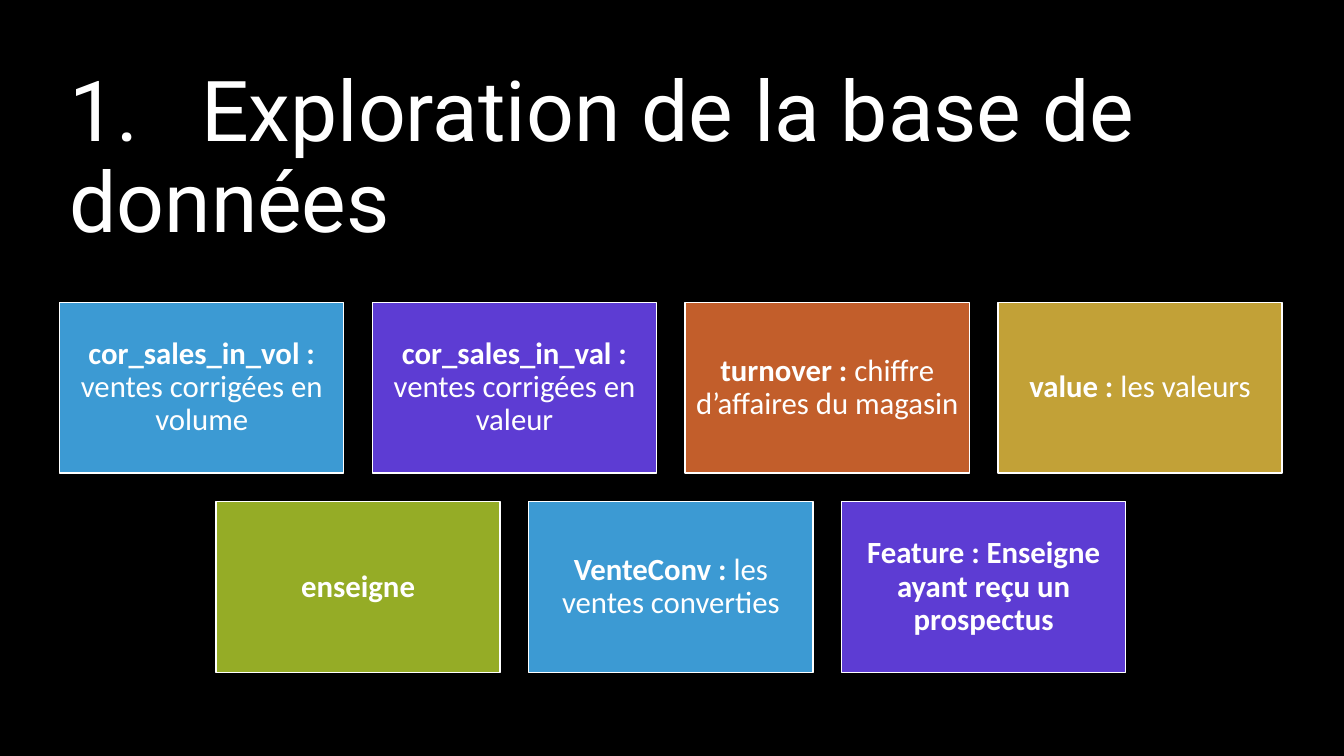
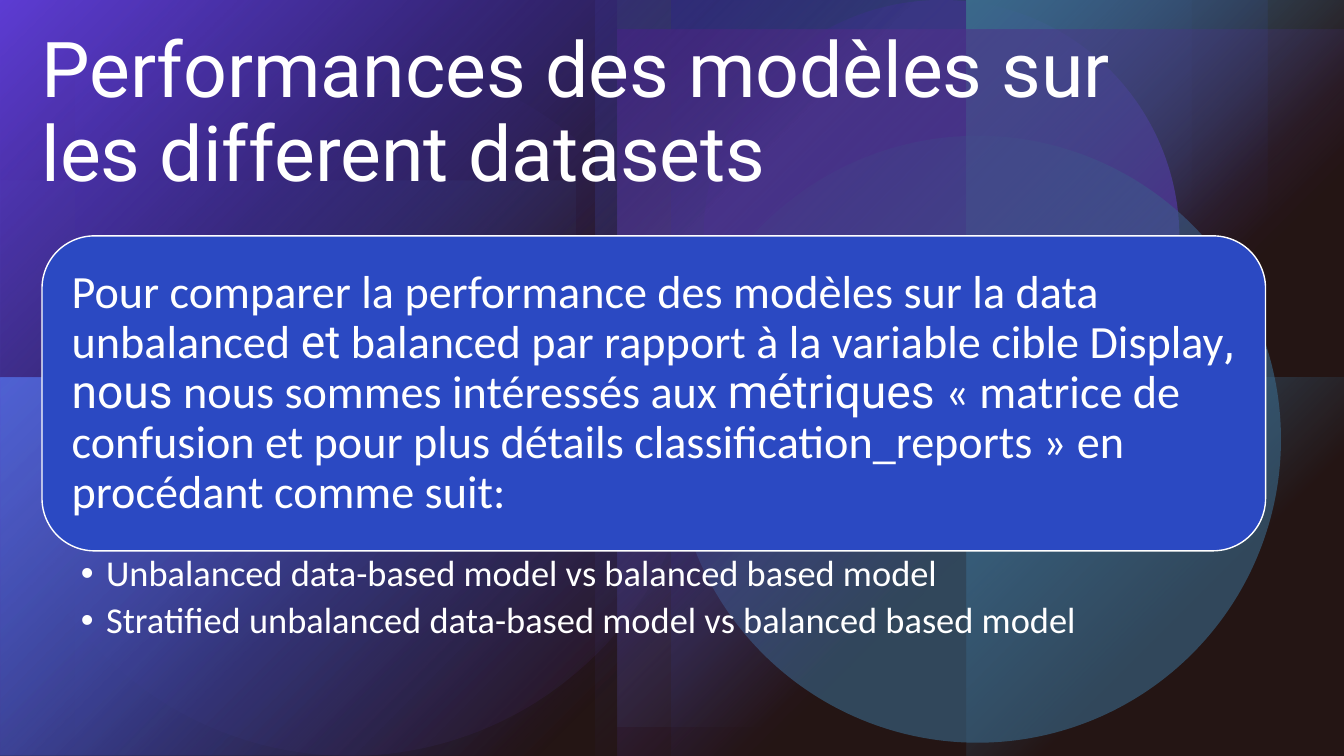
from lxml import etree
from pptx import Presentation
from pptx.dml.color import RGBColor
from pptx.enum import shapes, text
from pptx.oxml import ns
from pptx.util import Pt

WIDTH, HEIGHT = 960, 540
BLACK, WHITE, BROWN = "000000", "FFFFFF", "392120"
SKY, PURPLE, BLUE = "3C9AD3", "5D3CD3", "2B49C2"
ORANGE, GOLD, GREEN = "C25E2B", "C2A137", "95AC26"
BODY_FONT, TITLE_FONT = "Calibri", "Roboto"
RECTANGLE = shapes.MSO_SHAPE.RECTANGLE
OVAL = shapes.MSO_SHAPE.OVAL
ROUNDED = shapes.MSO_SHAPE.ROUNDED_RECTANGLE
MIDDLE, BOTTOM = text.MSO_ANCHOR.MIDDLE, text.MSO_ANCHOR.BOTTOM

# Paints: (position %, colour, opacity %); a single stop is a solid fill
BLUE_FADE = [(0, BLUE, 100), (60, BLUE, 0)]
SKY_FADE = [(0, SKY, 100), (60, SKY, 0)]
SOFT_SKY_FADE = [(0, SKY, 60), (60, SKY, 0)]
FAINT_SKY_FADE = [(0, SKY, 40), (60, SKY, 0)]
PURPLE_FADE = [(0, PURPLE, 100), (60, PURPLE, 0)]
WIDE_PURPLE_FADE = [(0, PURPLE, 100), (63, PURPLE, 0)]
SHADE_FADE = [(0, BLACK, 80), (32, BLACK, 60), (63, BLACK, 0)]
BROWN_VEIL = [(0, BROWN, 40)]

# Shape, left, top, width, height, paint, rotation, flips
BACKDROP = [
    (RECTANGLE, 0, 129.4, 411, 411, SOFT_SKY_FADE, 0, "v"),
    (OVAL, 453, 31, 340, 340, [(0, PURPLE, 60)], 0, "v"),
    (OVAL, 0, 40.3, 499.7, 499.7, [(0, PURPLE, 20)], 0, "v"),
    (RECTANGLE, 0, 0, 425.5, 540, BLUE_FADE, 180, "v"),
    (RECTANGLE, 425.5, 0, 425.5, 540, BLUE_FADE, 180, "hv"),
    (RECTANGLE, 441, 0, 519, 519, SKY_FADE, 180, "v"),
    (RECTANGLE, 0, 0, WIDTH, HEIGHT, BROWN_VEIL, 0, ""),
    (RECTANGLE, 0, 129, 411, 411, SOFT_SKY_FADE, 270, ""),
    (OVAL, 502.5, 0, 340, 340, [(0, PURPLE, 96)], 0, ""),
    (OVAL, 481.5, 97, 433.5, 433.5, [(0, SKY, 60)], 0, ""),
    (RECTANGLE, 479.5, 0, 425.5, 540, BLUE_FADE, 0, ""),
    (RECTANGLE, 54, 0, 425.5, 540, BLUE_FADE, 0, "h"),
    (RECTANGLE, 690, 270, 270, 270, SKY_FADE, 90, ""),
    (RECTANGLE, 690, 0, 270, 270, SKY_FADE, 90, "h"),
    (RECTANGLE, 441, 21, 519, 519, PURPLE_FADE, 180, ""),
    (RECTANGLE, 0, 0, WIDTH, HEIGHT, BROWN_VEIL, 0, ""),
    (RECTANGLE, 0, 0, 769, 270, SHADE_FADE, 180, "h"),
    (RECTANGLE, 0, 270, 769, 270, SHADE_FADE, 180, "hv"),
    (RECTANGLE, 0, 0, 770.5, 270, WIDE_PURPLE_FADE, 180, "h"),
    (RECTANGLE, 0, 270, 770.5, 270, WIDE_PURPLE_FADE, 180, "hv"),
    (RECTANGLE, 0, 270, 769, 270, FAINT_SKY_FADE, 180, "hv"),
]

# Fill, bold text, regular text
CARD_ROWS = [
    [
        (SKY, "cor_sales_in_vol :", " ventes corrigées en volume"),
        (PURPLE, "cor_sales_in_val : ", "ventes corrigées en valeur"),
        (ORANGE, "turnover : ", "chiffre d’affaires du magasin"),
        (GOLD, "value : ", "les valeurs"),
    ],
    [
        (GREEN, "enseigne", ""),
        (SKY, "VenteConv : ", "les ventes converties"),
        (PURPLE, "Feature : Enseigne ayant reçu un prospectus", ""),
    ],
]

CALLOUT_RUNS = [
    ("Pour comparer la performance des modèles sur la data unbalanced ", BODY_FONT),
    ("et", TITLE_FONT),
    (" balanced par rapport à la variable cible Display", BODY_FONT),
    (", nous", TITLE_FONT),
    (" nous sommes intéressés aux ", BODY_FONT),
    ("métriques", TITLE_FONT),
    (" « matrice de confusion et pour plus détails classification_reports »"
     " en procédant comme suit:", BODY_FONT),
]

COMPARISONS = [
    "Unbalanced data-based model vs balanced based model",
    "Stratified unbalanced data-based model vs balanced based model",
]


def rgb(color):
    return RGBColor.from_string(color)


def add_child(parent, tag, **attributes):
    values = {name: str(value) for name, value in attributes.items()}
    return etree.SubElement(parent, ns.qn(tag), values)


def add_color(parent, color, opacity):
    element = add_child(parent, "a:srgbClr", val=color)
    if opacity < 100:
        add_child(element, "a:alpha", val=opacity * 1000)


def paint(shape, stops):
    """Fill with one translucent colour, or with a fade out of the corner."""
    shape.fill.background()
    properties = shape.element.spPr
    empty_fill = properties.find(ns.qn("a:noFill"))
    if len(stops) == 1:
        fill = add_child(properties, "a:solidFill")
        add_color(fill, *stops[0][1:])
    else:
        fill = add_child(properties, "a:gradFill", rotWithShape=1)
        stop_list = add_child(fill, "a:gsLst")
        for position, color, opacity in stops:
            stop = add_child(stop_list, "a:gs", pos=position * 1000)
            add_color(stop, color, opacity)
        path = add_child(fill, "a:path", path="circle")
        add_child(path, "a:fillToRect", r=100000, b=100000)
    properties.replace(empty_fill, fill)


def add_panel(slide, kind, left, top, width, height):
    shape = slide.shapes.add_shape(kind, Pt(left), Pt(top), Pt(width), Pt(height))
    shape.shadow.inherit = False
    return shape


def add_backdrop(slide):
    for kind, left, top, width, height, stops, rotation, flips in BACKDROP:
        shape = add_panel(slide, kind, left, top, width, height)
        shape.line.fill.background()
        paint(shape, stops)
        shape.rotation = rotation
        for axis in flips:
            shape.element.spPr.xfrm.set("flip" + axis.upper(), "1")


def add_framed_panel(slide, kind, box, color, inset):
    shape = add_panel(slide, kind, *box)
    shape.fill.solid()
    shape.fill.fore_color.rgb = rgb(color)
    shape.line.color.rgb = rgb(WHITE)
    shape.line.width = Pt(1)
    set_frame(shape.text_frame, MIDDLE, (inset,) * 4)
    return shape


def add_text_box(slide, left, top, width, height, anchor, insets):
    box = slide.shapes.add_textbox(Pt(left), Pt(top), Pt(width), Pt(height))
    set_frame(box.text_frame, anchor, insets)
    return box.text_frame


def set_frame(frame, anchor, insets):
    frame.word_wrap = True
    frame.vertical_anchor = anchor
    left, top, right, bottom = (Pt(inset) for inset in insets)
    frame.margin_left, frame.margin_top = left, top
    frame.margin_right, frame.margin_bottom = right, bottom


def add_run(paragraph, words, size, font=BODY_FONT, bold=False):
    run = paragraph.add_run()
    run.text = words
    format_run(run, size, font, bold)


def format_run(run, size, font=BODY_FONT, bold=False):
    run.font.size = Pt(size)
    run.font.name = font
    run.font.bold = bold
    run.font.color.rgb = rgb(WHITE)


def add_title(slide, words, box, size, anchor, tab=None):
    frame = add_text_box(slide, *box, anchor, (7.2, 3.6, 7.2, 3.6))
    paragraph = frame.paragraphs[0]
    paragraph.text = words
    paragraph.line_spacing = 0.9
    if tab:
        tab_list = add_child(paragraph._p.get_or_add_pPr(), "a:tabLst")
        add_child(tab_list, "a:tab", pos=Pt(tab), algn="l")
    for run in paragraph.runs:
        format_run(run, size, TITLE_FONT)


def add_cards(slide, top=216, width=203, height=122, gap=20.4, center=479.2):
    """Place rows of equal cards, each row centred on the same axis."""
    for row_index, row in enumerate(CARD_ROWS):
        row_left = center - (len(row) * (width + gap) - gap) / 2
        row_top = top + row_index * (height + gap)
        for index, (color, name, meaning) in enumerate(row):
            box = (row_left + index * (width + gap), row_top, width, height)
            card = add_framed_panel(slide, RECTANGLE, box, color, 6.6)
            paragraph = card.text_frame.paragraphs[0]
            paragraph.alignment = text.PP_ALIGN.CENTER
            paragraph.line_spacing = 0.9
            add_run(paragraph, name, 22, bold=True)
            if meaning:
                add_run(paragraph, meaning, 22)


def add_callout(slide, box):
    callout = add_framed_panel(slide, ROUNDED, box, BLUE, 10.2)
    paragraph = callout.text_frame.paragraphs[0]
    paragraph.alignment = text.PP_ALIGN.LEFT
    paragraph.line_spacing = 0.9
    for words, font in CALLOUT_RUNS:
        add_run(paragraph, words, 33, font)


def add_bullets(slide, items, box):
    frame = add_text_box(slide, *box, text.MSO_ANCHOR.TOP, (27.8, 3.3, 18.5, 3.3))
    frame.text = "\n".join(items)
    for paragraph in frame.paragraphs:
        paragraph.line_spacing = 0.9
        paragraph.space_after = Pt(5.2)
        properties = paragraph._p.get_or_add_pPr()
        properties.set("marL", str(Pt(18)))
        properties.set("indent", str(-Pt(18)))
        add_child(properties, "a:buFont", typeface="Arial")
        add_child(properties, "a:buChar", char="•")
        format_run(paragraph.runs[0], 26)


def add_exploration_slide(presentation):
    slide = presentation.slides.add_slide(presentation.slide_layouts[6])
    add_title(slide, "1.\tExploration de la base de données",
              (42.6, 42.6, 905, 142.6), 60, MIDDLE, tab=94)
    add_cards(slide)


def add_performance_slide(presentation):
    slide = presentation.slides.add_slide(presentation.slide_layouts[6])
    add_backdrop(slide)
    add_title(slide, "Performances des modèles sur les different datasets",
              (22.5, 0, 852.5, 144.7), 55, BOTTOM)
    add_callout(slide, (30, 168.5, 874, 225))
    add_bullets(slide, COMPARISONS, (30, 393.5, 874, 70))


def main():
    presentation = Presentation()
    presentation.slide_width, presentation.slide_height = Pt(WIDTH), Pt(HEIGHT)
    background = presentation.slide_master.background.fill
    background.solid()
    background.fore_color.rgb = rgb(BLACK)
    add_exploration_slide(presentation)
    add_performance_slide(presentation)
    presentation.save("out.pptx")


if __name__ == "__main__":
    main()
